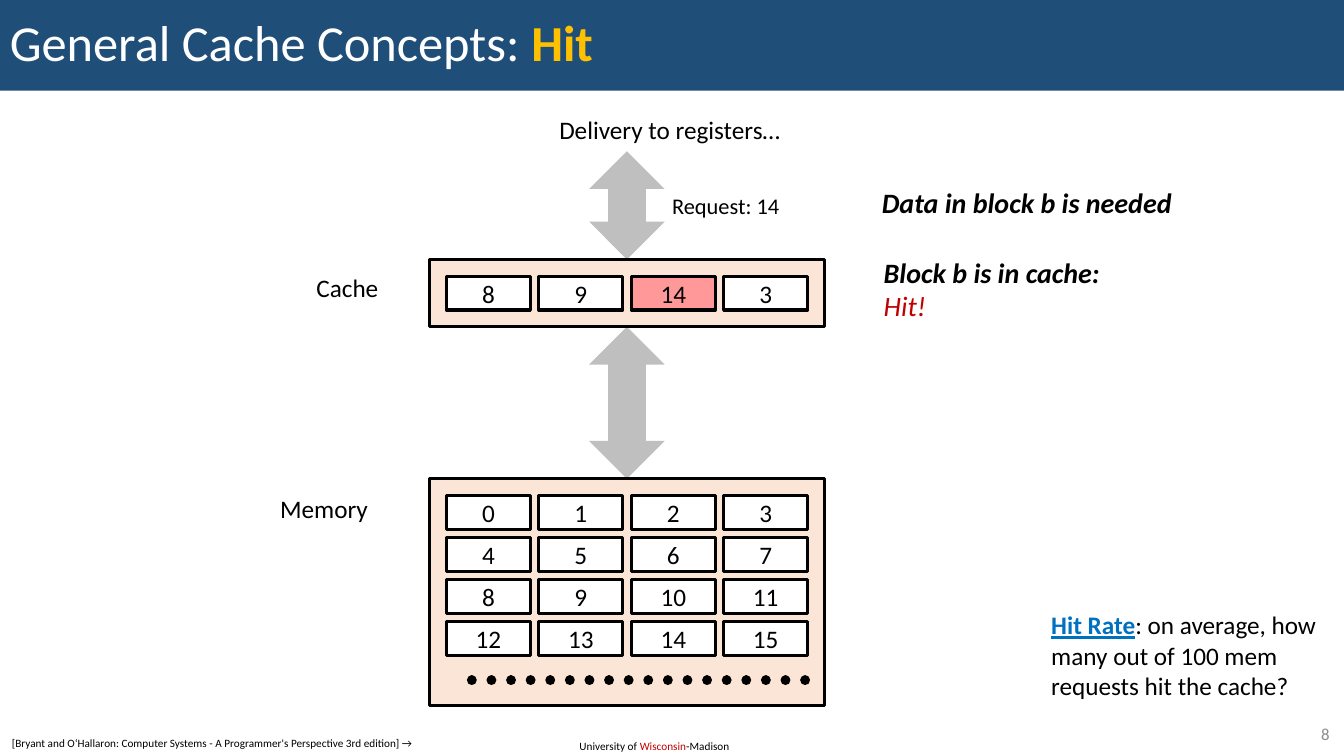
from pptx import Presentation
from pptx.dml.color import RGBColor
from pptx.enum import dml, shapes, text
from pptx.util import Pt

# Content
BLACK, WHITE, RED = "000000", "FFFFFF", "C00000"
PEACH, GREY, PINK = "FBE5D6", "BFBFBF", "FF9999"
CACHE = [[8, 9, 14, 3]]
MEMORY = [[0, 1, 2, 3], [4, 5, 6, 7], [8, 9, 10, 11], [12, 13, 14, 15]]
HIT = 14
TITLE = [[("General Cache Concepts: ", WHITE, ""), ("Hit", "FFC000", "b")]]
CITE = [[("[Bryant and O‘Hallaron: Computer Systems - A Programmer's "
          "Perspective 3rd edition] →", BLACK, "")]]

# Labels: left, top, width, height, size, options, paragraphs of runs
LABELS = [
    (406.8, 524.2, 123.8, 17.3, 8, {"wrap": True},
     [[("University of ", BLACK, ""), ("Wisconsin", RED, ""),
       ("-Madison", BLACK, "")]]),
    (392.4, 77.8, 174.2, 28.8, 18, {},
     [[("Delivery to registers…", BLACK, "")]]),
    (471.6, 133.9, 93.6, 26.6, 16, {"align": "CENTER"},
     [[("Request: 14", BLACK, "")]]),
    (218.9, 190.8, 59, 28.8, 18, {}, [[("Cache", BLACK, "")]]),
    (193, 348.5, 77.8, 28.8, 18, {}, [[("Memory", BLACK, "")]]),
    (622.8, 130.3, 222.5, 31, 20, {"mid": True, "gap": 0.98},
     [[("Data in block b is needed", BLACK, "bi")]]),
    (624.2, 180, 169.9, 54.7, 20, {"mid": True, "gap": 0.98},
     [[("Block b is in cache:", BLACK, "bi")], [("Hit!", RED, "i")]]),
    (743.8, 432, 210.2, 72.7, 18, {},
     [[("Hit Rate", "0070C0", "bu"),
       (": on average, how \nmany out of 100 mem \nrequests hit the cache?",
        BLACK, "")]]),
    (902.2, 513.4, 54.7, 20.9, 12,
     {"mid": True, "align": "RIGHT", "wrap": True}, [[("8", "8C8C8C", "")]]),
]

# Layout
LEFT, WIDE = 306.7, 282.2
PAD, CELL_W, CELL_H, STEP_X, STEP_Y = 12.2, 60, 24, 66, 30
CACHE_TOP, CACHE_H = 185.3, 48.2
MEM_TOP, MEM_H = 342, 162
ARROW_W = 54

prs = Presentation()
prs.slide_width, prs.slide_height = Pt(960), Pt(540)
slide = prs.slides.add_slide(prs.slide_layouts[6])


def color(code):
    return RGBColor.from_string(code)


def write(shape, size, paras, mid=False, align="LEFT", wrap=False, gap=None):
    frame = shape.text_frame
    frame.word_wrap = wrap
    anchor = text.MSO_ANCHOR
    frame.vertical_anchor = anchor.MIDDLE if mid else anchor.TOP
    for i, runs in enumerate(paras):
        para = frame.add_paragraph() if i else frame.paragraphs[0]
        para.alignment = getattr(text.PP_ALIGN, align)
        if gap:
            para.line_spacing = gap
        for words, code, style in runs:
            for n, line in enumerate(words.split("\n")):
                if n:
                    para.add_line_break()
                run = para.add_run()
                run.text = line
                font = run.font
                font.name, font.size = "Calibri", Pt(size)
                font.color.rgb = color(code)
                font.bold, font.italic = "b" in style, "i" in style
                font.underline = "u" in style


def draw(kind, x, y, w, h, fill, edge=False):
    shape = slide.shapes.add_shape(
        getattr(shapes.MSO_SHAPE, kind), Pt(x), Pt(y), Pt(w), Pt(h))
    shape.shadow.inherit = False
    shape.fill.solid()
    shape.fill.fore_color.rgb = color(fill)
    if edge:
        shape.line.color.rgb = color(BLACK)
        shape.line.width = Pt(2.25)
    else:
        shape.line.fill.background()
    return shape


def store(top, high, rows, hit=None):
    draw("RECTANGLE", LEFT, top, WIDE, high, PEACH, True)
    for r, row in enumerate(rows):
        for c, num in enumerate(row):
            cell = draw("RECTANGLE", LEFT + PAD + c * STEP_X,
                        top + PAD + r * STEP_Y, CELL_W, CELL_H,
                        PINK if num == hit else WHITE, True)
            write(cell, 18, [[(str(num), BLACK, "")]], mid=True,
                  align="CENTER")


# Title bar and citation
write(draw("RECTANGLE", 0, 0, 960, 64.8, "1F4E79"), 36, TITLE,
      mid=True, wrap=True, gap=0.9)
write(draw("RECTANGLE", 1.4, 522.7, 310.3, 17.3, WHITE), 8, CITE, wrap=True)

# Arrows between the levels
for top, end in ((108, CACHE_TOP), (CACHE_TOP + CACHE_H, MEM_TOP)):
    draw("UP_DOWN_ARROW", LEFT + (WIDE - ARROW_W) / 2, top,
         ARROW_W, end - top, GREY)

# Cache and memory blocks
store(CACHE_TOP, CACHE_H, CACHE, HIT)
store(MEM_TOP, MEM_H, MEMORY)

# Dotted row: more memory follows
dots = slide.shapes.add_connector(
    shapes.MSO_CONNECTOR.STRAIGHT, Pt(337), Pt(486), Pt(576.7), Pt(486))
dots.line.color.rgb = color(BLACK)
dots.line.width = Pt(7)
dots.line.dash_style = dml.MSO_LINE.ROUND_DOT
props = dots.line._get_or_add_ln()
props.set("cap", "rnd")
effects = props.makeelement(
    "{http://schemas.openxmlformats.org/drawingml/2006/main}effectLst", {})
props.addnext(effects)

# Labels
for x, y, w, h, size, opts, paras in LABELS:
    box = slide.shapes.add_textbox(Pt(x), Pt(y), Pt(w), Pt(h))
    write(box, size, paras, **opts)

prs.save("out.pptx")
